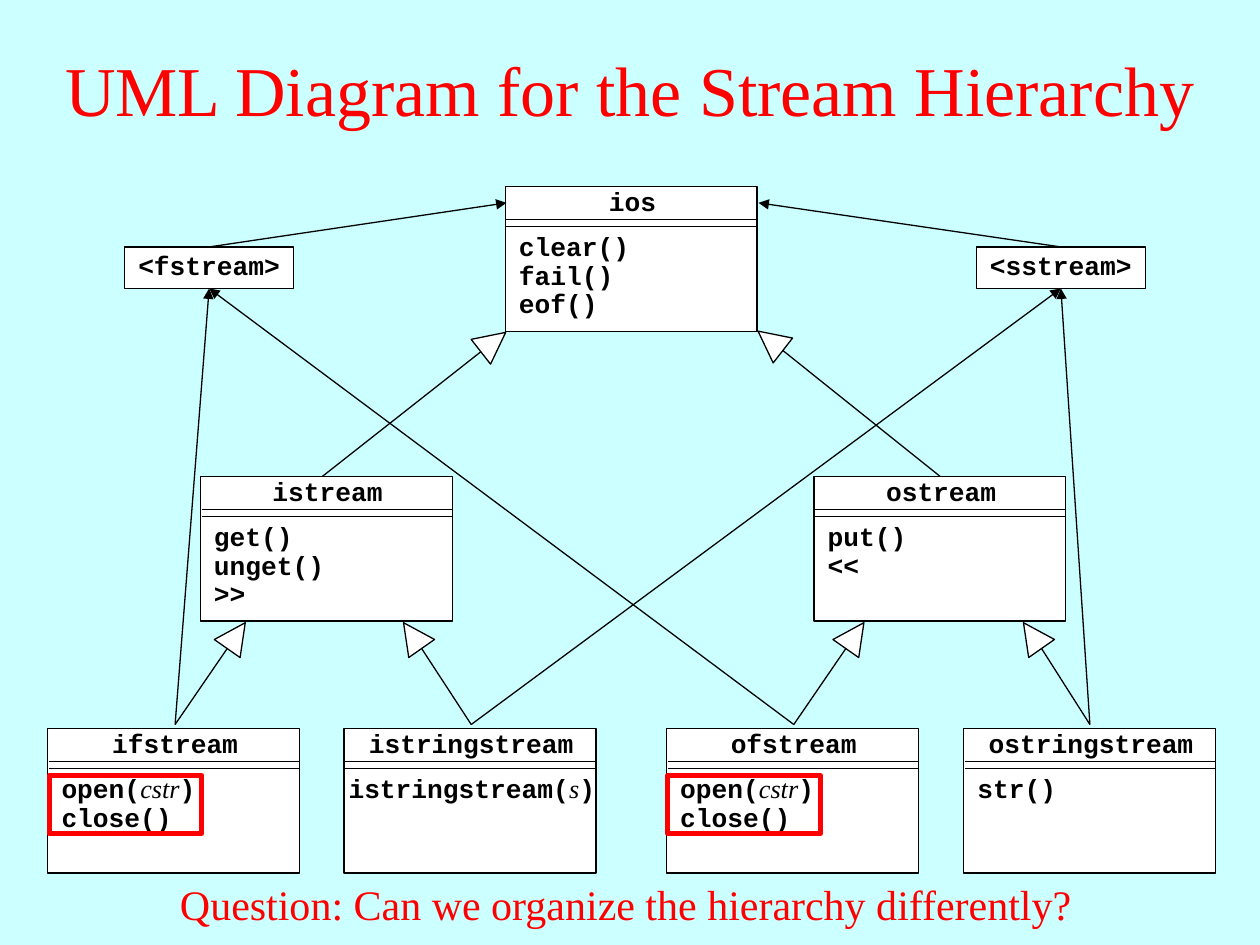
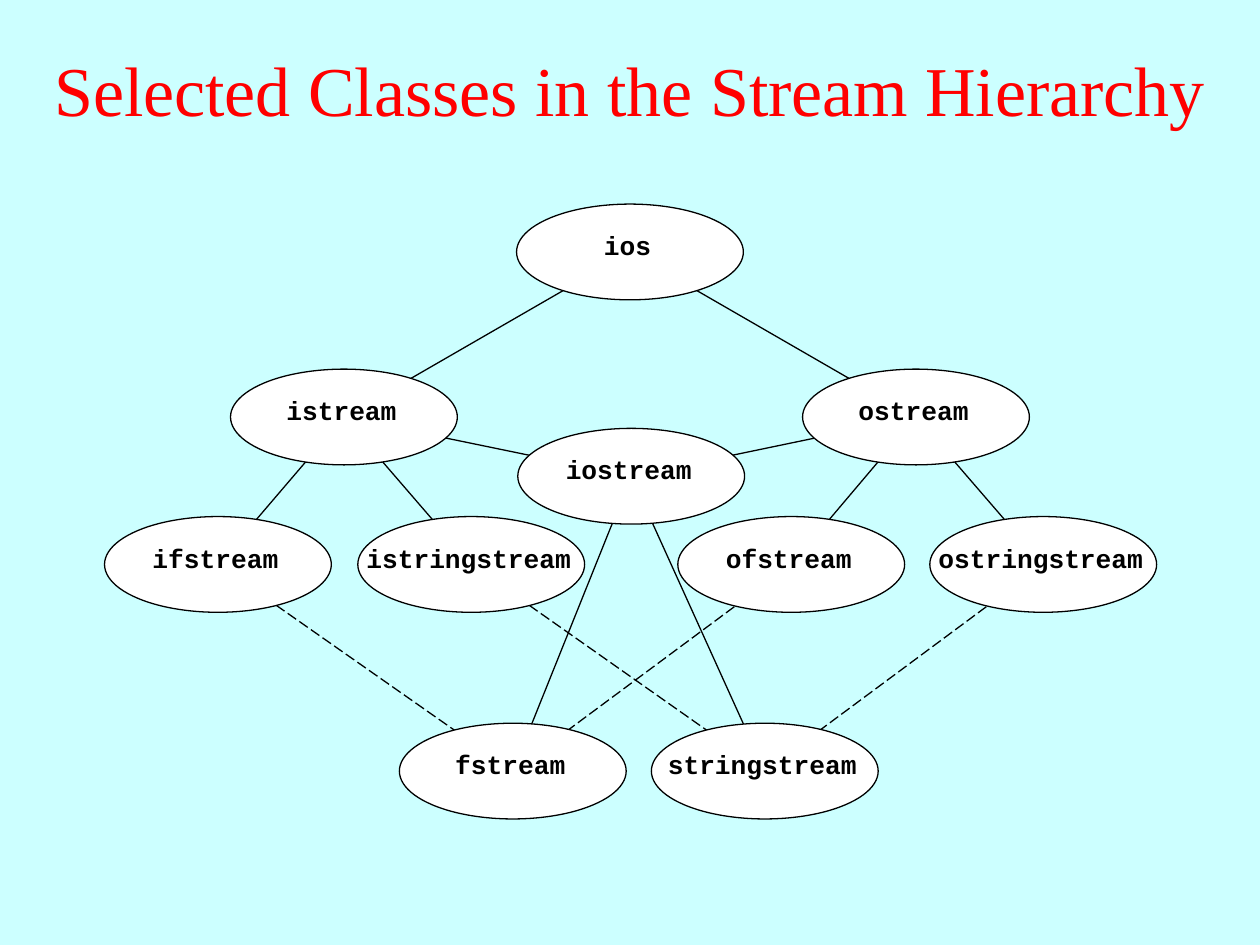
import math

import pptx
import pptx.dml.color
import pptx.enum.dml
import pptx.enum.shapes
import pptx.enum.text
import pptx.oxml
import pptx.oxml.ns
import pptx.util

SKY = pptx.dml.color.RGBColor(0xCC, 0xFF, 0xFF)
RED = pptx.dml.color.RGBColor(0xFF, 0x00, 0x00)
BLACK = pptx.dml.color.RGBColor(0x00, 0x00, 0x00)
WHITE = pptx.dml.color.RGBColor(0xFF, 0xFF, 0xFF)
CODE_FONT = "Courier New"
PROSE_FONT = "Times New Roman"
LEFT = pptx.enum.text.PP_ALIGN.LEFT
CENTER = pptx.enum.text.PP_ALIGN.CENTER
SHAPES = pptx.enum.shapes.MSO_SHAPE

presentation = pptx.Presentation()
presentation.slide_width = pptx.util.Inches(10)
presentation.slide_height = pptx.util.Inches(7.5)
# All positions below count columns and rows of a 100 by 75 grid.
COLUMN = presentation.slide_width / 100
ROW = presentation.slide_height / 75


def add_block(slide, preset, box, lines=(), alignment=CENTER, fill=WHITE, outline=BLACK, weight=0.75):
    """Add a preset shape, or a text box if preset is None; *stars* mark italic arguments."""
    left, top, width, height = box
    place = [round(length) for length in (left * COLUMN, top * ROW, width * COLUMN, height * ROW)]
    if preset is None:
        shape = slide.shapes.add_textbox(*place)
    else:
        shape = slide.shapes.add_shape(preset, *place)
        shape.shadow.inherit = False
        if fill is None:
            shape.fill.background()
        else:
            shape.fill.solid()
            shape.fill.fore_color.rgb = fill
        shape.line.color.rgb = outline
        shape.line.width = pptx.util.Pt(weight)
    frame = shape.text_frame
    frame.word_wrap = True
    frame.vertical_anchor = pptx.enum.text.MSO_ANCHOR.TOP
    for number, line in enumerate(lines):
        paragraph = frame.add_paragraph() if number else frame.paragraphs[0]
        paragraph.alignment = alignment
        paragraph.line_spacing = 0.9
        for position, piece in enumerate(line.split("*")):
            is_argument = position % 2 == 1
            run = paragraph.add_run()
            run.text = piece
            run.font.name = PROSE_FONT if is_argument else CODE_FONT
            run.font.size = pptx.util.Pt(15)
            run.font.bold = not is_argument
            run.font.italic = is_argument
            run.font.color.rgb = BLACK
    return shape


def add_line(slide, start, end, weight=0.75, dashed=False, arrow=False):
    connector = slide.shapes.add_connector(
        pptx.enum.shapes.MSO_CONNECTOR.STRAIGHT,
        round(start[0] * COLUMN), round(start[1] * ROW),
        round(end[0] * COLUMN), round(end[1] * ROW))
    connector.line.color.rgb = BLACK
    connector.line.width = pptx.util.Pt(weight)
    if dashed:
        connector.line.dash_style = pptx.enum.dml.MSO_LINE.LONG_DASH
    properties = connector._element.spPr
    if arrow:
        tail = pptx.oxml.parse_xml(f'<a:tailEnd {pptx.oxml.ns.nsdecls("a")} type="triangle"/>')
        properties.find(pptx.oxml.ns.qn("a:ln")).append(tail)
    properties.append(pptx.oxml.parse_xml(f'<a:effectLst {pptx.oxml.ns.nsdecls("a")}/>'))


# Shared background and titles
background = presentation.slide_master.background.fill
background.solid()
background.fore_color.rgb = SKY

slides = []
for title_text in ("UML Diagram for the Stream Hierarchy", "Selected Classes in the Stream Hierarchy"):
    slide = presentation.slides.add_slide(presentation.slide_layouts[5])
    title = slide.shapes.title
    title.left, title.top = 0, round(0.8 * ROW)
    title.width, title.height = presentation.slide_width, round(12.5 * ROW)
    title.text_frame.vertical_anchor = pptx.enum.text.MSO_ANCHOR.MIDDLE
    title.text_frame.auto_size = pptx.enum.text.MSO_AUTO_SIZE.NONE
    paragraph = title.text_frame.paragraphs[0]
    paragraph.alignment = CENTER
    run = paragraph.add_run()
    run.text = title_text
    run.font.name = PROSE_FONT
    run.font.size = pptx.util.Pt(40)
    run.font.color.rgb = RED
    slides.append(slide)
uml_slide, tree_slide = slides

# Slide 1: class boxes
CLASS_WIDTH, CLASS_HEIGHT = 20, 11.5
LEAF_TOP = 57.8
classes = {
    "ios": (40.1, 14.8, ["clear()", "fail()", "eof()"]),
    "istream": (15.9, 37.8, ["get()", "unget()", ">>"]),
    "ostream": (64.6, 37.8, ["put()", "<<"]),
    "ifstream": (3.8, LEAF_TOP, ["open(*cstr*)", "close()"]),
    "istringstream": (27.3, LEAF_TOP, ["istringstream(*s*)"]),
    "ofstream": (52.9, LEAF_TOP, ["open(*cstr*)", "close()"]),
    "ostringstream": (76.5, LEAF_TOP, ["str()"]),
}
for name, (left, top, members) in classes.items():
    add_block(uml_slide, SHAPES.RECTANGLE, (left, top, CLASS_WIDTH, CLASS_HEIGHT))
    for offset in (2.65, 3.15):
        add_line(uml_slide, (left + 0.1, top + offset), (left + CLASS_WIDTH, top + offset), 0.5)
    add_block(uml_slide, None, (left + 0.1, top - 0.3, CLASS_WIDTH, 3.3), [name])
    if name == "istringstream":
        add_block(uml_slide, None, (left - 0.7, top + 3.3, 21.7, 3.3), members)
    else:
        add_block(uml_slide, None, (left + 0.1, top + 3.3, CLASS_WIDTH, 7.9), members, LEFT)

# Inheritance: an open triangle at the parent, its line leaving the middle of the base
TRIANGLE = 2.5
LEAF_ANCHOR_ROW = 57.5
inheritance = [
    ((25.6, 37.8), 37.9, 25.9, 52),
    ((74.6, 37.8), 59.9, 25.8, 308),
    ((13.9, LEAF_ANCHOR_ROW), 17.5, 49.2, 35),
    ((37.4, LEAF_ANCHOR_ROW), 31.5, 49.2, 325),
    ((63, LEAF_ANCHOR_ROW), 66.6, 49.2, 35),
    ((86.5, LEAF_ANCHOR_ROW), 80.7, 49.2, 325),
]
for child_anchor, left, top, rotation in inheritance:
    triangle = add_block(uml_slide, SHAPES.ISOSCELES_TRIANGLE, (left, top, TRIANGLE, TRIANGLE))
    triangle.rotation = rotation
    angle = math.radians(rotation)
    half = TRIANGLE / 2
    base_middle = (left + half - half * math.sin(angle), top + half + half * math.cos(angle))
    add_line(uml_slide, child_anchor, base_middle)

# Members worth noticing
for left in (3.9, 53):
    add_block(uml_slide, SHAPES.RECTANGLE, (left, 61.55, 12.1, 4.6), fill=None, outline=RED, weight=3)

# Header files, reached by arrows from the leaf classes and pointing to ios
HEADER_TOP, HEADER_WIDTH, HEADER_HEIGHT = 19.6, 13.4, 3.3
headers = [
    ("<fstream>", 9.9, (13.9, 63), 40.2),
    ("<sstream>", 77.5, (37.4, 86.5), 60.2),
]
for name, left, leaf_columns, ios_edge in headers:
    middle = left + HEADER_WIDTH / 2
    for leaf_column in leaf_columns:
        add_line(uml_slide, (leaf_column, LEAF_ANCHOR_ROW), (middle, HEADER_TOP + HEADER_HEIGHT), arrow=True)
    add_block(uml_slide, SHAPES.RECTANGLE, (left, HEADER_TOP, HEADER_WIDTH, HEADER_HEIGHT), [name])
    add_line(uml_slide, (middle, HEADER_TOP), (ios_edge, 16.1), arrow=True)

question = add_block(uml_slide, None, (13.3, 69.2, 75, 5))
run = question.text_frame.paragraphs[0].add_run()
run.text = "Question: Can we organize the hierarchy differently?"
run.font.name = PROSE_FONT
run.font.size = pptx.util.Pt(24)
run.font.color.rgb = RED

# Slide 2: class tree, lines first so that the ellipses cover their ends
NODE_WIDTH, NODE_HEIGHT = 18, 7.6
nodes = {
    "ios": (41, 16.2),
    "istream": (18.3, 29.3),
    "ostream": (63.7, 29.3),
    "iostream": (41.1, 34),
    "ifstream": (8.3, 41),
    "istringstream": (28.4, 41),
    "ofstream": (53.8, 41),
    "ostringstream": (73.8, 41),
    "fstream": (31.7, 57.4),
    "stringstream": (51.7, 57.4),
}
solid_links = {
    "ios": ["istream", "ostream"],
    "istream": ["ifstream", "istringstream", "iostream"],
    "ostream": ["ofstream", "ostringstream", "iostream"],
    "iostream": ["fstream", "stringstream"],
}
dashed_links = {
    "ifstream": ["fstream"],
    "ofstream": ["fstream"],
    "istringstream": ["stringstream"],
    "ostringstream": ["stringstream"],
}
centers = {name: (left + NODE_WIDTH / 2, top + NODE_HEIGHT / 2) for name, (left, top) in nodes.items()}
for links, dashed in ((solid_links, False), (dashed_links, True)):
    for parent, children in links.items():
        for child in children:
            add_line(tree_slide, centers[parent], centers[child], dashed=dashed)
for name, (left, top) in nodes.items():
    add_block(tree_slide, SHAPES.OVAL, (left, top, NODE_WIDTH, NODE_HEIGHT))
    add_block(tree_slide, None, (left - 0.8, top + 1.8, 19.2, 3.3), [name])

presentation.save("out.pptx")
